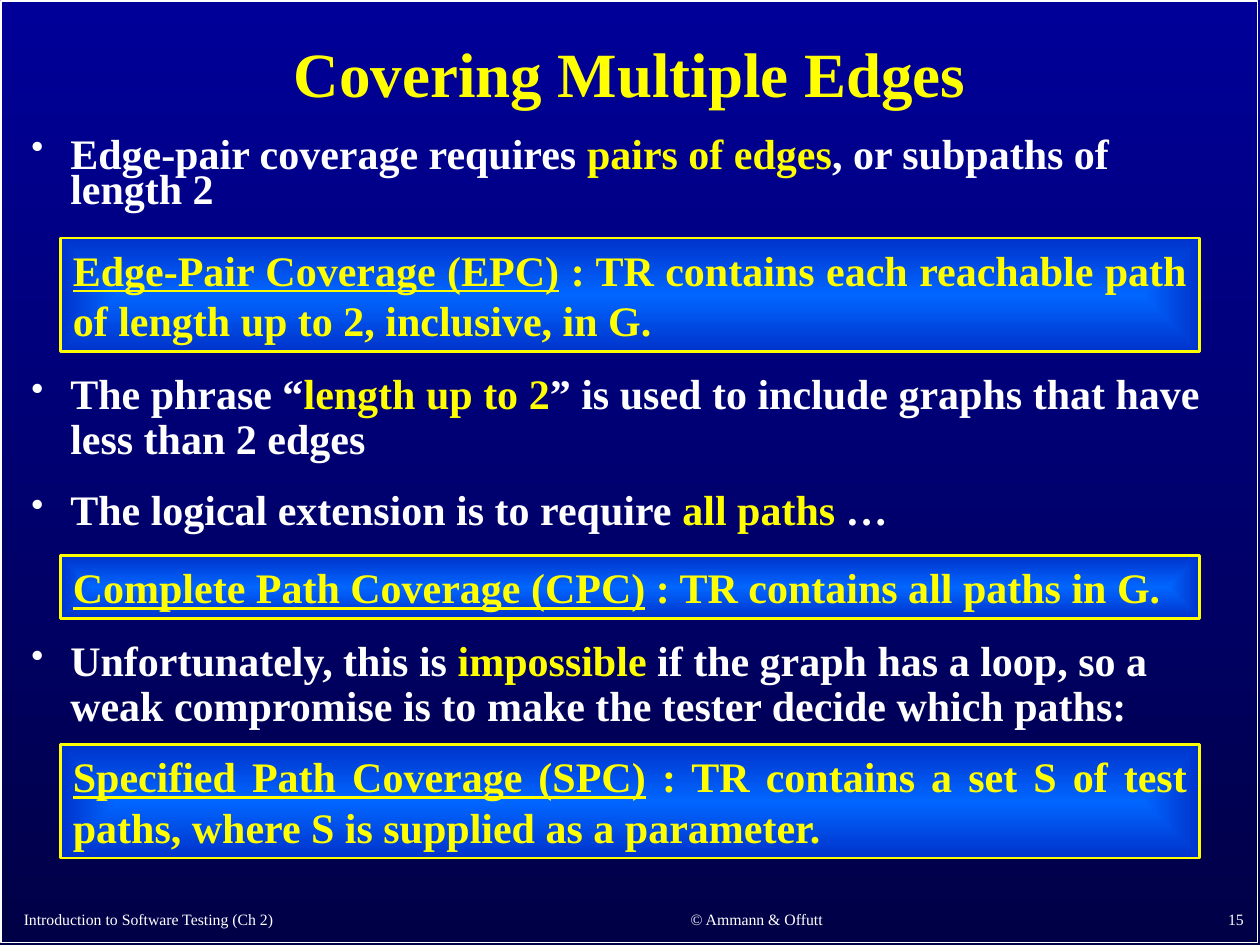
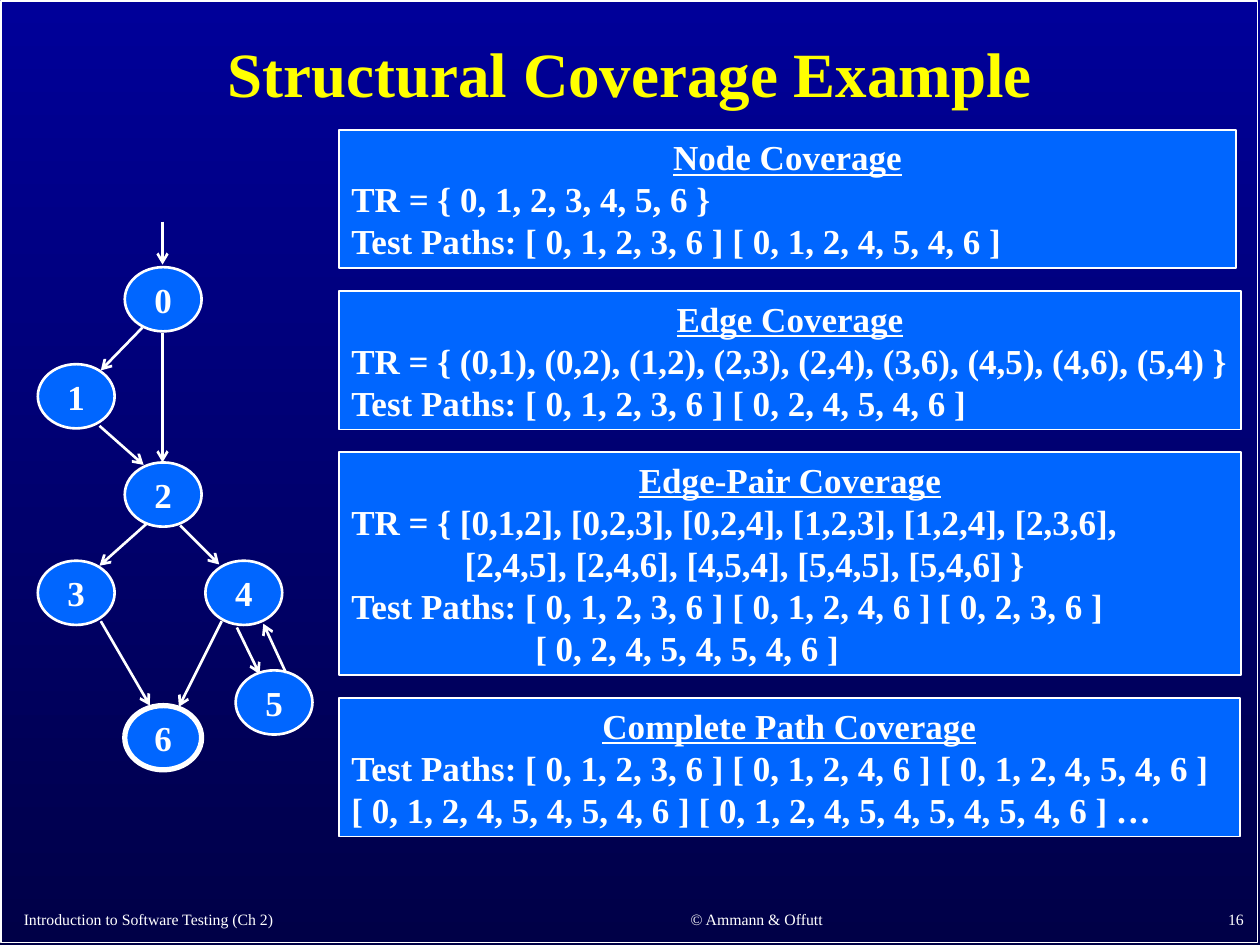
from pptx import Presentation
from pptx.dml.color import RGBColor
from pptx.enum.shapes import MSO_CONNECTOR, MSO_SHAPE
from pptx.enum.text import MSO_ANCHOR, PP_ALIGN
from pptx.oxml import parse_xml
from pptx.oxml.ns import nsdecls, qn
from pptx.util import Inches, Pt

LEFT, CENTER, RIGHT, JUSTIFY = PP_ALIGN.LEFT, PP_ALIGN.CENTER, PP_ALIGN.RIGHT, PP_ALIGN.JUSTIFY
TOP, MIDDLE, BOTTOM = MSO_ANCHOR.TOP, MSO_ANCHOR.MIDDLE, MSO_ANCHOR.BOTTOM
RECTANGLE, OVAL = MSO_SHAPE.RECTANGLE, MSO_SHAPE.OVAL
STRAIGHT = MSO_CONNECTOR.STRAIGHT

FONT = "Times New Roman"
WHITE, YELLOW = "FFFFFF", "FFFF00"
BRIGHT_BLUE, DEEP_BLUE = "0066FF", "0033CC"
BACKGROUND_TOP, BACKGROUND_BOTTOM = "000099", "000047"
color = RGBColor.from_string


def add_text(slide, box, paragraphs, outline=RECTANGLE, fill=None, line=None, line_width=1,
             size=24, text_color=WHITE, bold=True, align=LEFT, anchor=TOP, spacing=1, inset=0.1):
    """Add a shape; each paragraph is a list of (text, format) runs, format being "", a colour or "u"."""
    shape = slide.shapes.add_shape(outline, *[Inches(length) for length in box])
    shape.shadow.inherit = False
    if fill:
        shape.fill.solid()
        shape.fill.fore_color.rgb = color(fill)
    else:
        shape.fill.background()
    if line:
        shape.line.color.rgb = color(line)
        shape.line.width = Pt(line_width)
    else:
        shape.line.fill.background()
    frame = shape.text_frame
    frame.word_wrap = True
    frame.vertical_anchor = anchor
    frame.margin_left = frame.margin_right = Inches(inset)
    frame.margin_top = frame.margin_bottom = Inches(inset / 2)
    for index, runs in enumerate(paragraphs):
        paragraph = frame.add_paragraph() if index else frame.paragraphs[0]
        paragraph.alignment = align
        paragraph.line_spacing = spacing
        for text, run_format in runs:
            run = paragraph.add_run()
            run.text = text
            run.font.name = FONT
            run.font.size = Pt(size)
            run.font.bold = bold
            run.font.underline = run_format == "u"
            run.font.color.rgb = color(run_format if len(run_format) == 6 else text_color)
    return shape


presentation = Presentation()
presentation.slide_width = Inches(10)
presentation.slide_height = Inches(7.5)

# Shared background, border, footers and title
slides = []
for number, title in enumerate(["Covering Multiple Edges", "Structural Coverage Example"], 15):
    slide = presentation.slides.add_slide(presentation.slide_layouts[6])
    slides.append(slide)
    background = slide.background.fill
    background.gradient()
    background.gradient_angle = 270
    for stop, stop_color in zip(background.gradient_stops, [BACKGROUND_TOP, BACKGROUND_BOTTOM]):
        stop.color.rgb = color(stop_color)
    add_text(slide, (0.01, 0.01, 9.97, 7.47), [], line=WHITE)
    footers = [
        (0.09, 4.12, "Introduction to Software Testing (Ch 2)", LEFT),
        (4.42, 3.17, "© Ammann & Offutt", CENTER),
        (7.89, 2.08, str(number), RIGHT),
    ]
    for left, width, text, align in footers:
        add_text(slide, (left, 7.12, width, 0.3), [[(text, "")]],
                 size=9, bold=False, align=align, anchor=BOTTOM)
    add_text(slide, (0.75, 0.11, 8.5, 1), [[(title, "")]], size=36, text_color=YELLOW,
             align=CENTER, anchor=MIDDLE, spacing=0.9)

edges_slide, example_slide = slides

# Covering Multiple Edges: bullets and coverage criteria
bullets = [
    (1.07, 0.73, 0.7, "Edge-pair coverage requires ", "pairs of edges", ", or subpaths of length 2"),
    (2.91, 0.83, 0.9, "The phrase “", "length up to 2",
     "” is used to include graphs that have less than 2 edges"),
    (3.83, 0.48, 0.9, "The logical extension is to require ", "all paths", " …"),
    (5.03, 0.78, 0.9, "Unfortunately, this is ", "impossible",
     " if the graph has a loop, so a weak compromise is to make the tester decide which paths:"),
]
for top, height, spacing, before, key, after in bullets:
    shape = add_text(edges_slide, (0.15, top, 9.7, height),
                     [[(before, ""), (key, YELLOW), (after, "")]], spacing=spacing)
    properties = shape.text_frame.paragraphs[0]._p.get_or_add_pPr()
    properties.set("marL", str(Inches(0.31)))
    properties.set("indent", str(Inches(-0.31)))
    for bullet_xml in [f'<a:buClr {nsdecls("a")}><a:srgbClr val="{WHITE}"/></a:buClr>',
                       f'<a:buSzPct {nsdecls("a")} val="85000"/>',
                       f'<a:buChar {nsdecls("a")} char="•"/>']:
        properties.append(parse_xml(bullet_xml))

criteria = [
    (1.89, 0.9, "Edge-Pair Coverage (EPC)",
     " : TR contains each reachable path of length up to 2, inclusive, in G."),
    (4.41, 0.5, "Complete Path Coverage (CPC)", " : TR contains all paths in G."),
    (5.91, 0.9, "Specified Path Coverage (SPC)",
     " : TR contains a set S of test paths, where S is supplied as a parameter."),
]
for top, height, name, definition in criteria:
    shape = add_text(edges_slide, (0.48, top, 9.04, height), [[(name, "u"), (definition, "")]],
                     line=YELLOW, line_width=1.5, text_color=YELLOW, align=JUSTIFY)
    shape.fill.gradient()
    for stop, stop_color in zip(shape.fill.gradient_stops, [BRIGHT_BLUE, DEEP_BLUE]):
        stop.color.rgb = color(stop_color)
    gradient = shape._element.spPr.find(qn("a:gradFill"))
    gradient.replace(gradient.find(qn("a:lin")), parse_xml(
        f'<a:path {nsdecls("a")} path="rect">'
        '<a:fillToRect l="50000" t="50000" r="50000" b="50000"/></a:path>'))

# Structural Coverage Example: coverage boxes, each line with its left indent
coverages = [
    ("Node Coverage", 7.12, 1.1, [
        ("TR = { 0, 1, 2, 3, 4, 5, 6 }", 0),
        ("Test Paths: [ 0, 1, 2, 3, 6 ] [ 0, 1, 2, 4, 5, 4, 6 ]", 0)]),
    ("Edge Coverage", 7.16, 1.1, [
        ("TR = { (0,1), (0,2), (1,2), (2,3), (2,4), (3,6), (4,5), (4,6), (5,4) }", 0),
        ("Test Paths: [ 0, 1, 2, 3, 6 ] [ 0, 2, 4, 5, 4, 6 ]", 0)]),
    ("Edge-Pair Coverage", 7.16, 1.77, [
        ("TR = { [0,1,2], [0,2,3], [0,2,4], [1,2,3], [1,2,4], [2,3,6],", 0),
        ("[2,4,5], [2,4,6], [4,5,4], [5,4,5], [5,4,6] }", 0.9),
        ("Test Paths: [ 0, 1, 2, 3, 6 ] [ 0, 1, 2, 4, 6 ] [ 0, 2, 3, 6 ]", 0),
        ("[ 0, 2, 4, 5, 4, 5, 4, 6 ]", 1.46)]),
    ("Complete Path Coverage", 7.15, 1.1, [
        ("Test Paths: [ 0, 1, 2, 3, 6 ] [ 0, 1, 2, 4, 6 ] [ 0, 1, 2, 4, 5, 4, 6 ] "
         "[ 0, 1, 2, 4, 5, 4, 5, 4, 6 ] [ 0, 1, 2, 4, 5, 4, 5, 4, 5, 4, 6 ] …", 0)]),
]
top = 1.03
for name, width, height, lines in coverages:
    shape = add_text(example_slide, (2.69, top, width, height),
                     [[(name, "u")]] + [[(text, "")] for text, indent in lines],
                     fill=BRIGHT_BLUE, line=WHITE, size=20)
    heading, *body = shape.text_frame.paragraphs
    heading.alignment = CENTER
    for paragraph, (text, indent) in zip(body, lines):
        paragraph._p.get_or_add_pPr().set("marL", str(Inches(indent)))
    top += height + 0.18

# Graph nodes (left, top) and edges (from, to)
nodes = [(0.99, 2.12), (0.3, 2.89), (0.99, 3.67), (0.3, 4.45), (1.63, 4.45), (1.87, 5.32), (0.99, 5.6)]
final_node = 6
for node, (left, top) in enumerate(nodes):
    add_text(example_slide, (left, top, 0.61, 0.51), [[(str(node), "")]], outline=OVAL,
             fill=BRIGHT_BLUE, line=WHITE, line_width=3 if node == final_node else 1.5,
             size=20, align=CENTER, anchor=MIDDLE, inset=0)

edges = [
    (1.29, 1.76, 1.29, 2.1),
    (1.13, 2.6, 0.8, 2.94),
    (1.29, 2.64, 1.29, 3.67),
    (0.79, 3.38, 1.14, 3.69),
    (1.16, 4.16, 0.79, 4.49),
    (1.43, 4.17, 1.74, 4.48),
    (0.8, 4.93, 1.19, 5.6),
    (1.76, 4.93, 1.42, 5.61),
    (1.88, 4.98, 2.06, 5.35),
    (2.27, 5.34, 2.09, 4.95),
]
for edge in edges:
    connector = example_slide.shapes.add_connector(STRAIGHT, *[Inches(length) for length in edge])
    connector.line.color.rgb = color(WHITE)
    connector.line.width = Pt(1.5)
    properties = connector._element.spPr
    properties.find(qn("a:ln")).append(parse_xml(f'<a:tailEnd {nsdecls("a")} type="arrow"/>'))
    properties.append(parse_xml(f'<a:effectLst {nsdecls("a")}/>'))

presentation.save("out.pptx")
